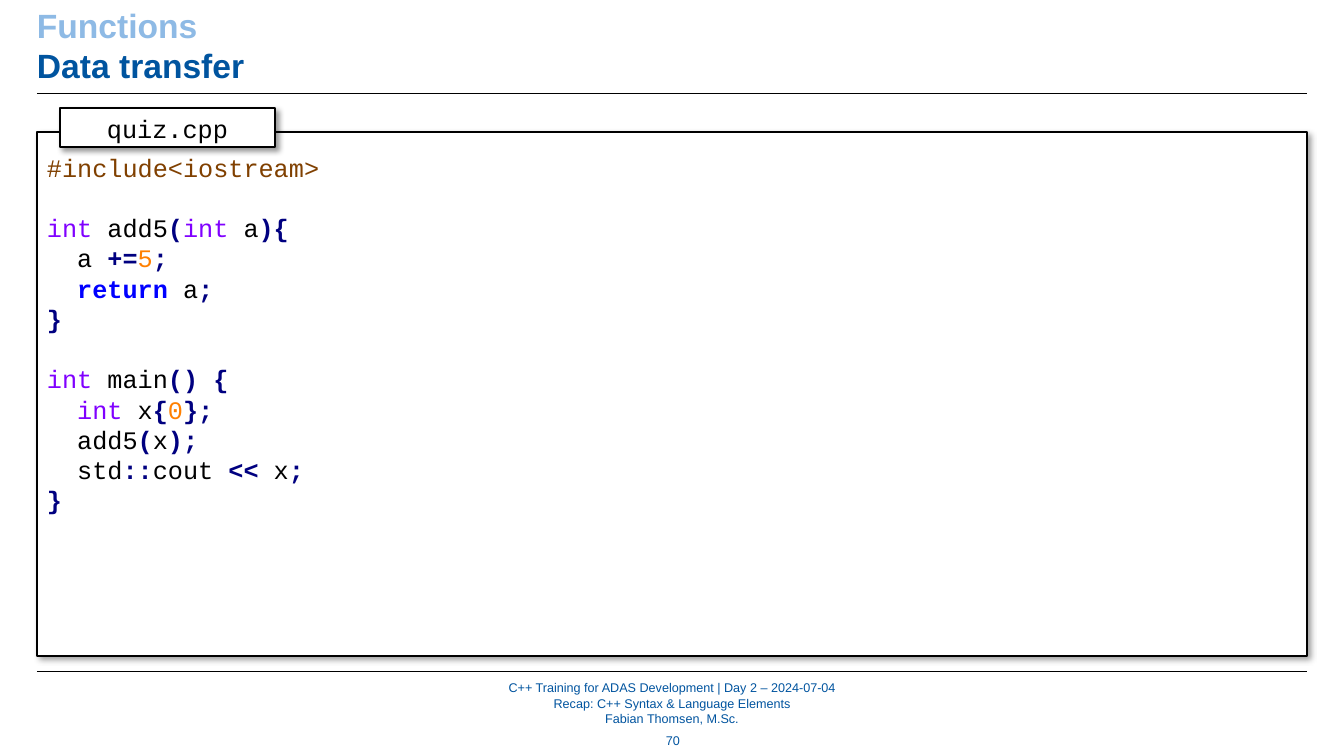
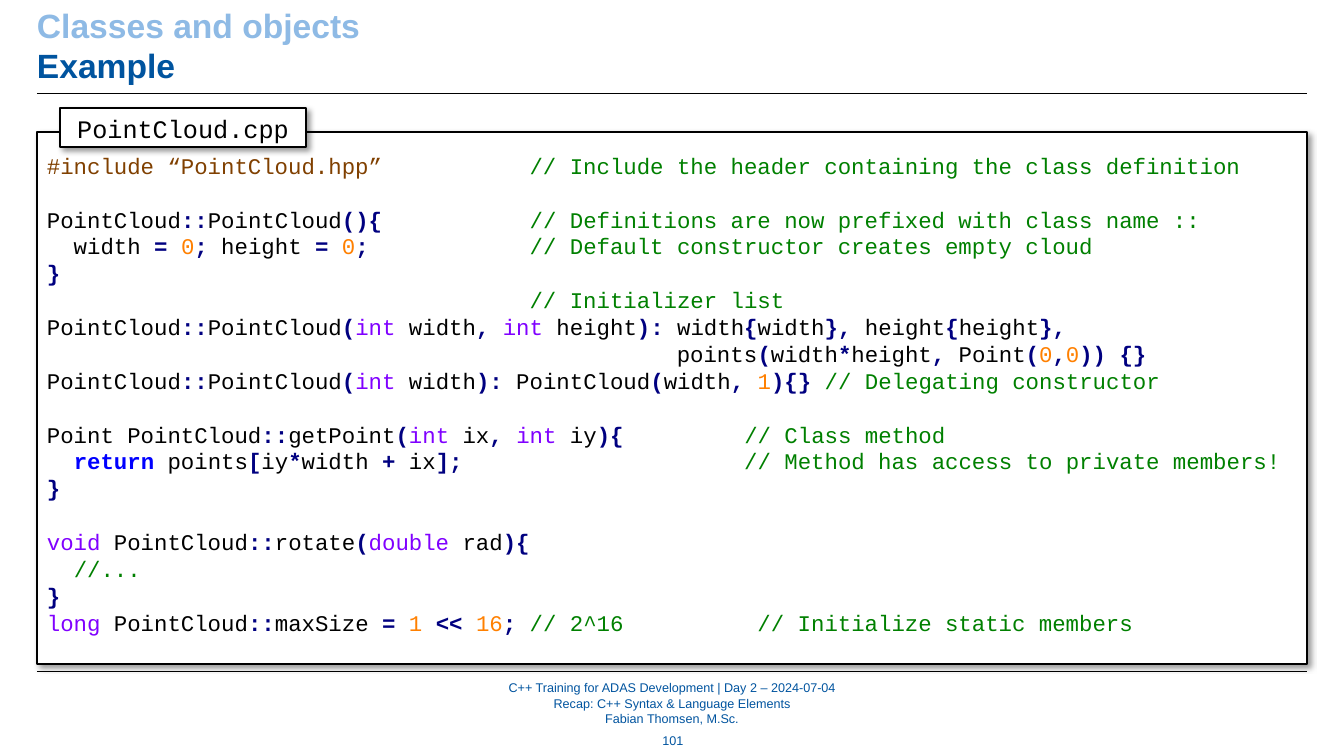
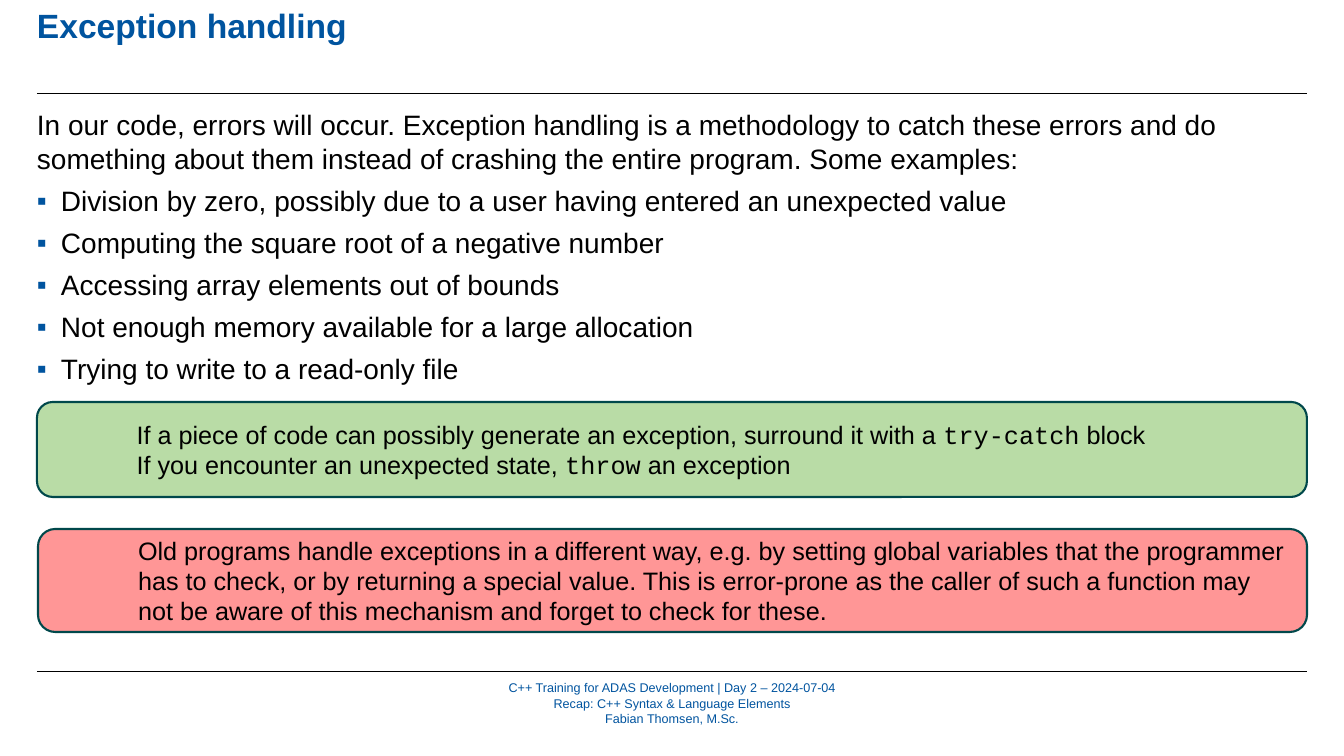
from itertools import groupby
from lxml.etree import SubElement
from pptx import Presentation
from pptx.dml.color import RGBColor
from pptx.enum.shapes import MSO_CONNECTOR, MSO_SHAPE
from pptx.enum.text import MSO_ANCHOR, PP_ALIGN
from pptx.oxml import parse_xml
from pptx.oxml.ns import nsdecls, qn
from pptx.util import Pt

PX = 914400 / 100.8
HUES = {
    "blue": "00549F", "pale": "8EBAE5", "black": "000000", "white": "FFFFFF",
    "green": "57AB27", "red": "FF0000", "teal": "00484B",
    "macro": "804000", "type": "8000FF", "word": "0000FF", "sign": "000080",
    "digit": "FF8000", "note": "008000",
}
SANS, MONO = "Arial", "Courier New"
TYPES = {"int", "void", "double", "long"}
LEFT, WIDE = 37, 1270
FOOT = [
    "C++ Training for ADAS Development | Day 2 – 2024-07-04",
    "Recap: C++ Syntax & Language Elements",
    "Fabian Thomsen, M.Sc.",
]
SHADE = (
    f'<a:effectLst {nsdecls("a")}><a:outerShdw blurRad="50800" dist="38100" '
    'dir="2700000" algn="tl" rotWithShape="0"><a:srgbClr val="000000">'
    '<a:alpha val="40000"/></a:srgbClr></a:outerShdw></a:effectLst>'
)

# Code blocks, set apart by an empty line
QUIZ = ["#include<iostream>", """int add5(int a){
  a +=5;
  return a;
}""", """int main() {
  int x{0};
  add5(x);
  std::cout << x;
}"""]

CLOUD = [
    "#include “PointCloud.hpp”           // Include the header containing the class definition",
    """PointCloud::PointCloud(){           // Definitions are now prefixed with class name ::
  width = 0; height = 0;            // Default constructor creates empty cloud
}
                                    // Initializer list
PointCloud::PointCloud(int width, int height): width{width}, height{height},
                                               points(width*height, Point(0,0)) {}
PointCloud::PointCloud(int width): PointCloud(width, 1){} // Delegating constructor""",
    """Point PointCloud::getPoint(int ix, int iy){         // Class method
  return points[iy*width + ix];                     // Method has access to private members!
}""",
    """void PointCloud::rotate(double rad){
  //...
}
long PointCloud::maxSize = 1 << 16; // 2^16          // Initialize static members""",
]

# Title lines, page number, code file: name, tab width, panel height, size, code
PAGES = [
    (["Functions", "Data transfer"], "70", ("quiz.cpp", 215, 524, 18, QUIZ)),
    (["Classes and objects", "Example"], "101", ("PointCloud.cpp", 246, 532, 16, CLOUD)),
    (["Exception handling"], None, None),
]
POINTS = [
    "In our code, errors will occur. Exception handling is a methodology to catch these "
    "errors and do something about them instead of crashing the entire program. Some examples:",
    "Division by zero, possibly due to a user having entered an unexpected value",
    "Computing the square root of a negative number",
    "Accessing array elements out of bounds",
    "Not enough memory available for a large allocation",
    "Trying to write to a read-only file",
]
# Callouts: place, fill, lines; words between backticks are set in the code font
CALLS = [
    ((37, 402, 1270, 95), "green", [
        "If a piece of code can possibly generate an exception, surround it with a "
        "`try-catch` block",
        "If you encounter an unexpected state, `throw` an exception"]),
    ((38, 529, 1269, 103), "red", [
        "Old programs handle exceptions in a different way, e.g. by setting global variables "
        "that the programmer has to check, or by returning a special value. This is "
        "error-prone as the caller of such a function may not be aware of this mechanism "
        "and forget to check for these."]),
]


def add_box(page, spot, lines, pads=(0, 0, 0, 0), kind=None, fill="white", edge="black"):
    """Add a text box, or a filled shape if a kind is given, with plain lines."""
    place = [round(n * PX) for n in spot]
    if kind is None:
        box = page.shapes.add_textbox(*place)
    else:
        box = page.shapes.add_shape(kind, *place)
        box.shadow.inherit = False
        box.fill.solid()
        box.fill.fore_color.rgb = RGBColor.from_string(HUES[fill])
        box.line.color.rgb = RGBColor.from_string(HUES[edge])
        box.line.width = Pt(1.5)
    frame = box.text_frame
    frame.word_wrap = True
    frame.vertical_anchor = MSO_ANCHOR.TOP
    frame.margin_left, frame.margin_top, frame.margin_right, frame.margin_bottom = [
        round(n * PX) for n in pads]
    frame.text = "\n".join(lines)
    for par in frame.paragraphs:
        par.alignment = PP_ALIGN.LEFT
    return box


def style(par, size, hue, font=SANS, bold=False):
    """Format every run of a paragraph."""
    for run in par.runs:
        run.font.size = Pt(size)
        run.font.name = font
        run.font.bold = bold
        run.font.color.rgb = RGBColor.from_string(HUES[hue])


deck = Presentation()
deck.slide_width, deck.slide_height = round(1344 * PX), round(756 * PX)

for title, number, code in PAGES:
    page = deck.slides.add_slide(deck.slide_layouts[6])

    # Rules above and below the content
    for y in (93, 671):
        rule = page.shapes.add_connector(
            MSO_CONNECTOR.STRAIGHT,
            *[round(n * PX) for n in (LEFT, y, LEFT + WIDE, y)])
        rule.line.color.rgb = RGBColor.from_string(HUES["black"])
        rule.line.width = Pt(0.5)
        SubElement(rule._element.spPr, qn("a:effectLst"))

    # Title: the last line is dark, a line before it is pale
    head = add_box(page, (LEFT, 5, WIDE, 82), title)
    for par in head.text_frame.paragraphs:
        style(par, 24, "blue" if par.text == title[-1] else "pale", bold=True)

    # Footer and page number
    feet = [add_box(page, (346, 680, 652, 46), FOOT)]
    if number:
        feet.append(add_box(page, (647, 727, 52, 26), [number], (10, 5, 10, 5)))
    for foot in feet:
        foot.text_frame.vertical_anchor = MSO_ANCHOR.MIDDLE
        for par in foot.text_frame.paragraphs:
            par.alignment = PP_ALIGN.CENTER
            style(par, 9, "blue")

    if not code:
        continue

    # Code panel with its file tab
    name, width, height, size, blocks = code
    panel = add_box(page, (LEFT, 132, WIDE, height), ["\n\n".join(blocks)],
                    (10, 20, 10, 5), MSO_SHAPE.RECTANGLE)
    tab = add_box(page, (60, 108, width, 39), [name], (10, 5, 10, 5), MSO_SHAPE.RECTANGLE)
    for box in (panel, tab):
        props = box._element.spPr
        props.replace(props.find(qn("a:effectLst")), parse_xml(SHADE))
    label = tab.text_frame.paragraphs[0]
    label.alignment = PP_ALIGN.CENTER
    style(label, 18, "black", MONO)

    # Syntax colours
    for par in panel.text_frame.paragraphs:
        text, mark, note = par.text.partition("//")
        par.clear()
        parts = []
        if text.startswith("#"):
            parts.append((text, "macro"))
        else:
            for kind, chars in groupby(
                    text, lambda c: "black" if c.isalnum() or c == " " else "sign"):
                chunk = "".join(chars)
                if kind == "sign":
                    parts.append((chunk, kind))
                    continue
                for gap, chars in groupby(chunk, str.isspace):
                    token = "".join(chars)
                    hue = ("type" if token in TYPES else "word" if token == "return"
                           else "digit" if token.isdigit() else "black")
                    parts.append((token, hue))
        if mark:
            parts.append((mark + note, "note"))
        for token, hue in parts:
            run = par.add_run()
            run.text = token
            run.font.size = Pt(size)
            run.font.name = MONO
            run.font.bold = hue in ("sign", "word")
            run.font.color.rgb = RGBColor.from_string(HUES[hue])
        if not parts:
            end = SubElement(par._p, qn("a:endParaRPr"), sz=str(size * 100))
            SubElement(end, qn("a:latin"), typeface=MONO)

# Introduction and bullets on the last slide
body = add_box(page, (LEFT, 108, WIDE, 290), POINTS)
for i, par in enumerate(body.text_frame.paragraphs):
    style(par, 20, "black")
    if i == 0:
        continue
    par.space_before = Pt(6)
    props = par._p.get_or_add_pPr()
    props.set("marL", str(round(24 * PX)))
    props.set("indent", str(round(-24 * PX)))
    tint = SubElement(props, qn("a:buClr"))
    SubElement(tint, qn("a:srgbClr"), val=HUES["blue"])
    SubElement(props, qn("a:buFont"), typeface=SANS)
    SubElement(props, qn("a:buChar"), char="▪")

# Callouts
for spot, fill, lines in CALLS:
    call = add_box(page, spot, lines, (95, 5, 10, 5),
                   MSO_SHAPE.ROUNDED_RECTANGLE, fill, "teal")
    tint = call._element.spPr.find(qn("a:solidFill"))[0]
    SubElement(tint, qn("a:alpha"), val="41000")
    call.text_frame.vertical_anchor = MSO_ANCHOR.MIDDLE
    for par, line in zip(call.text_frame.paragraphs, lines):
        par.clear()
        for part in line.split("`"):
            par.add_run().text = part
        style(par, 18, "black")
        for run in par.runs[1::2]:
            run.font.name = MONO

deck.save("out.pptx")
